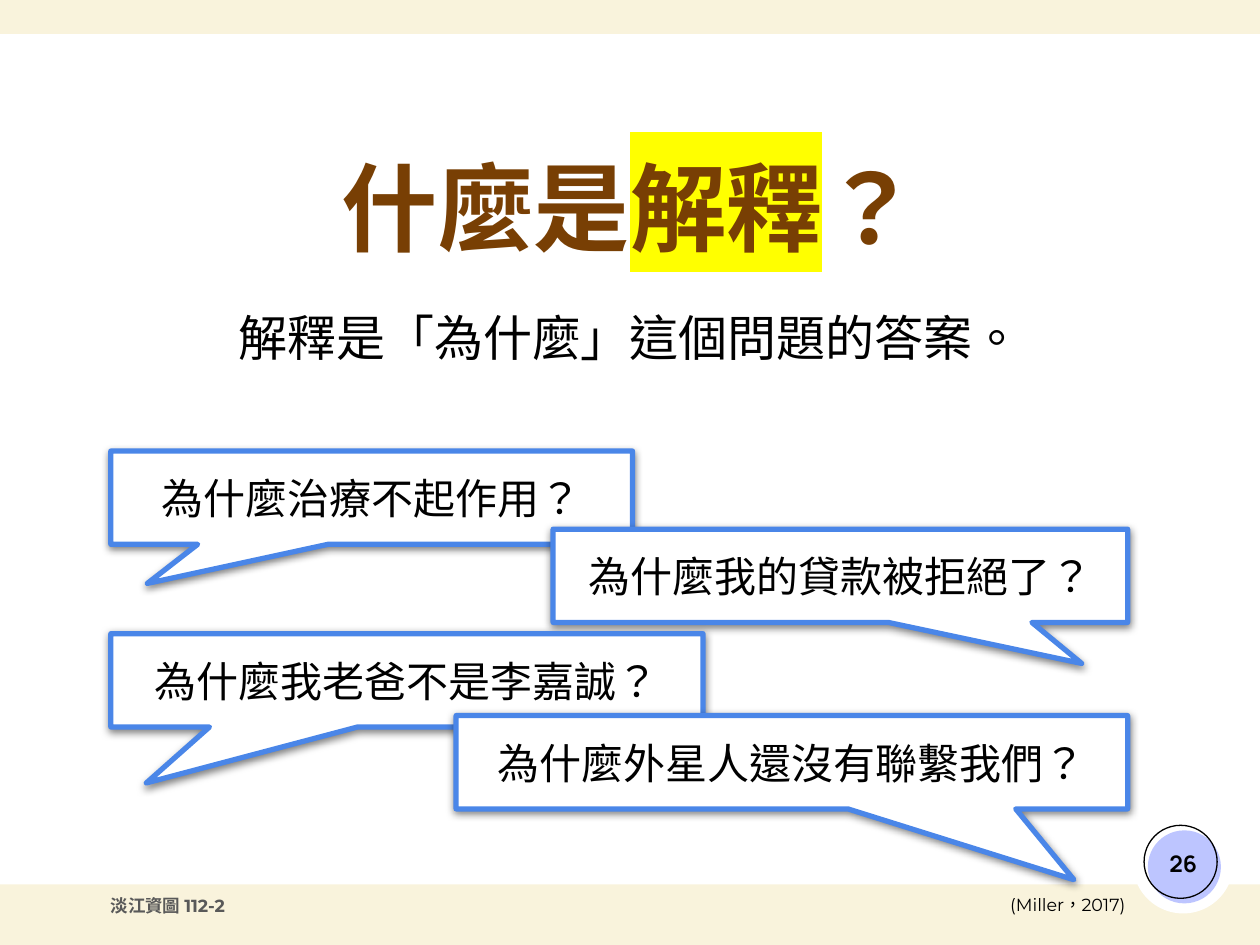
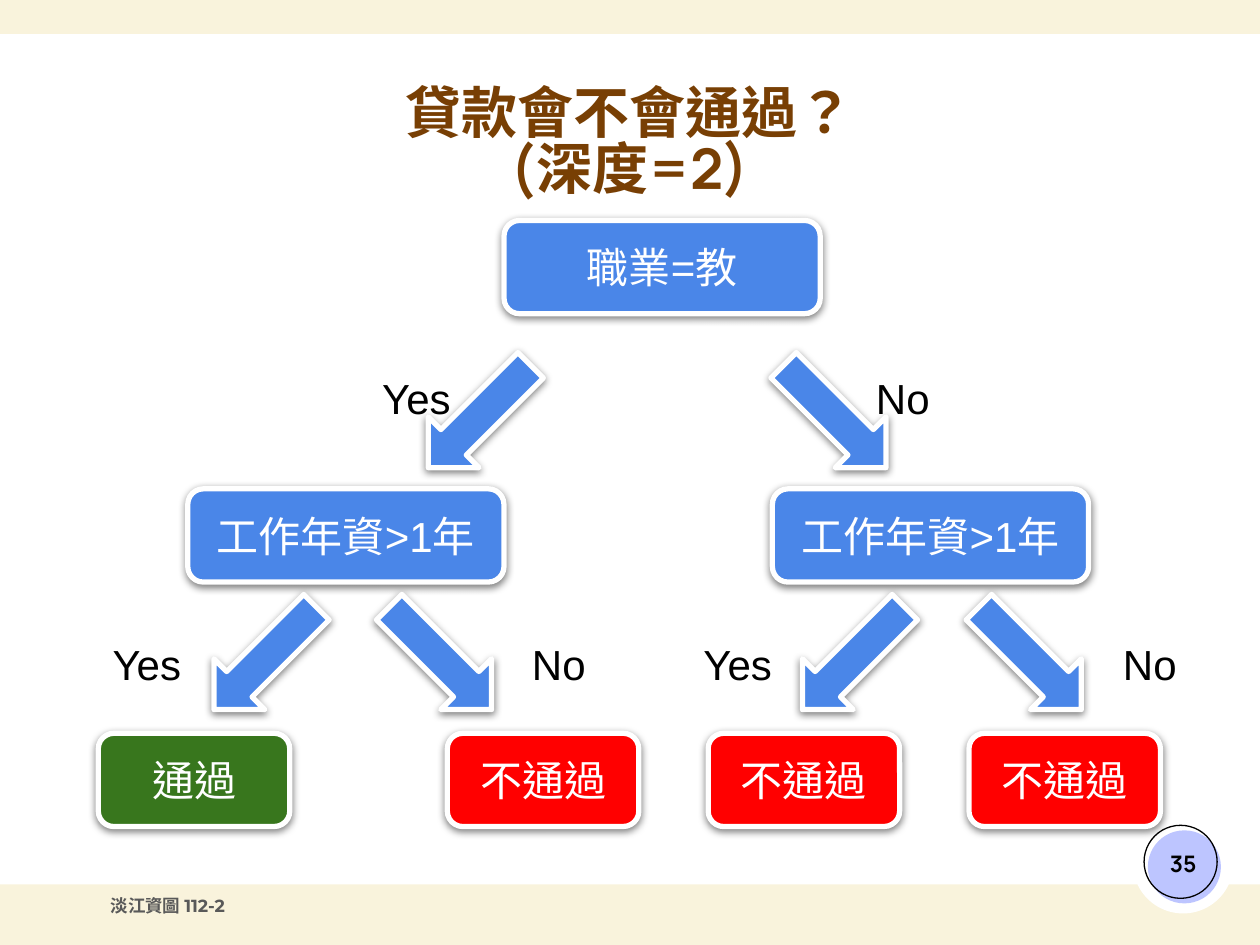
from dataclasses import dataclass

from lxml import etree
from pptx import Presentation
from pptx.dml.color import RGBColor
from pptx.enum.shapes import MSO_SHAPE as SHAPE
from pptx.enum.text import MSO_ANCHOR as ANCHOR, MSO_AUTO_SIZE as AUTO_SIZE, PP_ALIGN as ALIGN
from pptx.oxml.ns import qn
from pptx.util import Inches, Pt


@dataclass(frozen=True)
class Theme:
    cream: str = "F9F3DC"
    white: str = "FFFFFF"
    black: str = "000000"
    grey: str = "595959"
    brown: str = "783F04"
    blue: str = "4A86E8"
    lilac: str = "BDC5FF"
    green: str = "38761D"
    red: str = "FF0000"
    yellow: str = "FFFF00"
    heading: str = "Manrope"
    body: str = "Montserrat"
    plain: str = "Arial"
    hero_size: int = 55
    title_size: int = 32
    lead_size: int = 28
    box_size: int = 24
    page_size: int = 13
    small_size: int = 10


THEME = Theme()

# Grid of 100 columns by 75 rows
COLUMNS, ROWS = 100, 75
WIDTH, HEIGHT = Inches(10), Inches(7.5)
BOX_ROWS = 7.4
TITLE_ROWS = 6.8
MARGIN, CONTENT = 7.8, 84.4


def cells(left, top, width, height):
    """Turn grid columns and rows into slide lengths."""
    column, row = WIDTH / COLUMNS, HEIGHT / ROWS
    return [round(n) for n in (left * column, top * row, width * column, height * row)]


def rgb(code):
    return RGBColor.from_string(code)


# Text
def add_highlight(run, color):
    properties = run._r.get_or_add_rPr()
    highlight = etree.Element(qn("a:highlight"))
    etree.SubElement(highlight, qn("a:srgbClr"), val=color)
    properties.find(qn("a:latin")).addprevious(highlight)


def write(shape, *paragraphs, size, font=THEME.plain, color=THEME.black, bold=False,
          align=ALIGN.CENTER, anchor=ANCHOR.MIDDLE, spacing=None,
          insets=(0.1, 0.1, 0.1, 0.1), marked=None):
    """Fill a shape; each paragraph is a list of run texts."""
    frame = shape.text_frame
    frame.word_wrap = True
    frame.auto_size = AUTO_SIZE.NONE
    frame.vertical_anchor = anchor
    (frame.margin_left, frame.margin_top,
     frame.margin_right, frame.margin_bottom) = map(Inches, insets)
    for index, texts in enumerate(paragraphs):
        paragraph = frame.add_paragraph() if index else frame.paragraphs[0]
        paragraph.alignment = align
        if spacing:
            paragraph.line_spacing = spacing
        for text in texts:
            run = paragraph.add_run()
            run.text = text
            run.font.size, run.font.name, run.font.bold = Pt(size), font, bold
            run.font.color.rgb = rgb(color)
            run._r.get_or_add_rPr().set("lang", "zh-TW")
            if text == marked:
                add_highlight(run, THEME.yellow)


def add_text(slide, text, area, **style):
    shape = slide.shapes.add_textbox(*cells(*area))
    write(shape, [text], **style)
    return shape


# Shapes
def add_shadow(shape):
    effects = shape.element.spPr.find(qn("a:effectLst"))
    shadow = etree.SubElement(effects, qn("a:outerShdw"), blurRad=str(Pt(4.5)),
                              dist=str(Pt(1.5)), dir="5400000", algn="bl", rotWithShape="0")
    color = etree.SubElement(shadow, qn("a:srgbClr"), val=THEME.black)
    etree.SubElement(color, qn("a:alpha"), val="50000")


def add_form(slide, kind, area, fill=None, line=None, line_width=3, shadow=False):
    shape = slide.shapes.add_shape(kind, *cells(*area))
    shape.shadow.inherit = False
    if shadow:
        add_shadow(shape)
    if fill:
        shape.fill.solid()
        shape.fill.fore_color.rgb = rgb(fill)
    else:
        shape.fill.background()
    if line:
        shape.line.color.rgb = rgb(line)
        shape.line.width = Pt(line_width)
    else:
        shape.line.fill.background()
    return shape


def add_callout(slide, text, left, top, width, pointer):
    shape = add_form(slide, SHAPE.ROUNDED_RECTANGULAR_CALLOUT, (left, top, width, BOX_ROWS),
                     THEME.white, THEME.blue, shadow=True)
    for index, value in enumerate((*pointer, 0)):
        shape.adjustments[index] = value
    write(shape, [text], size=THEME.box_size, insets=(0, 0.1, 0, 0.1))


def add_node(slide, text, left, top, width, fill=THEME.blue):
    shape = add_form(slide, SHAPE.ROUNDED_RECTANGLE, (left, top, width, BOX_ROWS),
                     fill, THEME.white, shadow=True)
    write(shape, [text], size=THEME.box_size, color=THEME.white, insets=(0, 0.1, 0, 0.1))


def add_branch(slide, answer, arrow_left, arrow_top, label_left, label_top):
    """Draw a slanted arrow, leftwards for Yes and rightwards for No, with its label."""
    arrow = add_form(slide, SHAPE.RIGHT_ARROW, (arrow_left, arrow_top, 11.5, 5.7),
                     THEME.blue, THEME.white, shadow=True)
    arrow.rotation = 135 if answer == "Yes" else 45
    add_text(slide, answer, (label_left, label_top, 10.5, 4.4),
             size=THEME.box_size, spacing=1.15)


# Shared layout and slide start
def furnish_layout(layout, slide):
    """Build the panel, page badge and footer, and hand them to the layout."""
    layout.background.fill.solid()
    layout.background.fill.fore_color.rgb = rgb(THEME.cream)
    parts = [
        add_form(slide, SHAPE.RECTANGLE, (0, 2.7, COLUMNS, 67.5), THEME.white),
        add_form(slide, SHAPE.OVAL, (89.9, 64.5, 8, 8), THEME.white),
        add_form(slide, SHAPE.OVAL, (91.1, 65.9, 5.8, 5.8), THEME.lilac),
        add_form(slide, SHAPE.OVAL, (90.8, 65.5, 5.8, 5.8), line=THEME.black, line_width=0.75),
        add_text(slide, "淡江資圖 112-2", (MARGIN, 70, 43.1, 3.7), size=THEME.small_size,
                 font=THEME.body, color=THEME.grey, bold=True, align=ALIGN.LEFT,
                 anchor=ANCHOR.TOP),
    ]
    for number, part in enumerate(parts, start=100):
        part.element.find(".//" + qn("p:cNvPr")).set("id", str(number))
        layout.shapes.element.append(part.element)


def start_slide(slide, page, title, top, size, marked=None):
    shape = slide.shapes.title
    shape.left, shape.top, shape.width, shape.height = cells(MARGIN, top, CONTENT, TITLE_ROWS)
    write(shape, *title, size=size, font=THEME.heading, color=THEME.brown, bold=True,
          anchor=ANCHOR.BOTTOM, spacing=0.83, insets=(0.1, 0, 0.1, 0.04), marked=marked)
    add_text(slide, page, (90.9, 65.7, 6, 5.7), size=THEME.page_size,
             font=THEME.heading, bold=True)


# Slides
def build_explanation(slide):
    start_slide(slide, "26", [["什麼是", "解釋", "？"]], 14.5, THEME.hero_size, marked="解釋")
    add_text(slide, "解釋是「為什麼」這個問題的答案。", (MARGIN, 22.7, CONTENT, 20.5),
             size=THEME.lead_size, font=THEME.body, anchor=ANCHOR.TOP, spacing=1.15)
    add_text(slide, "(Miller，2017)", (22.6, 70, 67.7, 3.5), size=THEME.small_size,
             font=THEME.body, align=ALIGN.RIGHT)
    for question in (
        ("為什麼治療不起作⽤？", 8.8, 35.8, 41.4, (-0.43, 0.92)),
        ("為什麼我的貸款被拒絕了？", 43.9, 42, 45.6, (0.42, 0.94)),
        ("為什麼我老爸不是李嘉誠？", 8.8, 50.3, 47, (-0.44, 1.1)),
        ("為什麼外星⼈還沒有聯繫我們？", 36.2, 56.8, 53.3, (0.42, 1.26)),
    ):
        add_callout(slide, *question)


def build_loan_tree(slide):
    start_slide(slide, "35", [["貸款會不會通過？"], ["(深度=2)"]], 9.5, THEME.title_size)
    # Questions
    add_node(slide, "職業=教", 40, 17.5, 25.1)
    for left in (14.9, 61.3):
        add_node(slide, "工作年資>1年", left, 38.8, 25.1)
    # Results
    add_node(slide, "通過", 7.8, 58.2, 15.2, THEME.green)
    for index in range(3):
        add_node(slide, "不通過", 35.5 + 20.7 * index, 58.2, 15.2, THEME.red)
    # Answers: arrow column, then label column
    for answer, arrow, label in (("Yes", 32.3, 27.8), ("No", 60.5, 66.4)):
        add_branch(slide, answer, arrow, 30.2, label, 29.1)
    for answer, arrow, label in (("Yes", 15.3, 6.4), ("No", 29.2, 39.1),
                                 ("Yes", 62, 53.3), ("No", 76, 86)):
        add_branch(slide, answer, arrow, 49.4, label, 50.2)


def main():
    presentation = Presentation()
    presentation.slide_width, presentation.slide_height = WIDTH, HEIGHT
    layout = presentation.slide_layouts[5]  # title only
    explanation, loan_tree = (presentation.slides.add_slide(layout) for _ in range(2))
    furnish_layout(layout, explanation)
    build_explanation(explanation)
    build_loan_tree(loan_tree)
    presentation.save("out.pptx")


if __name__ == "__main__":
    main()
